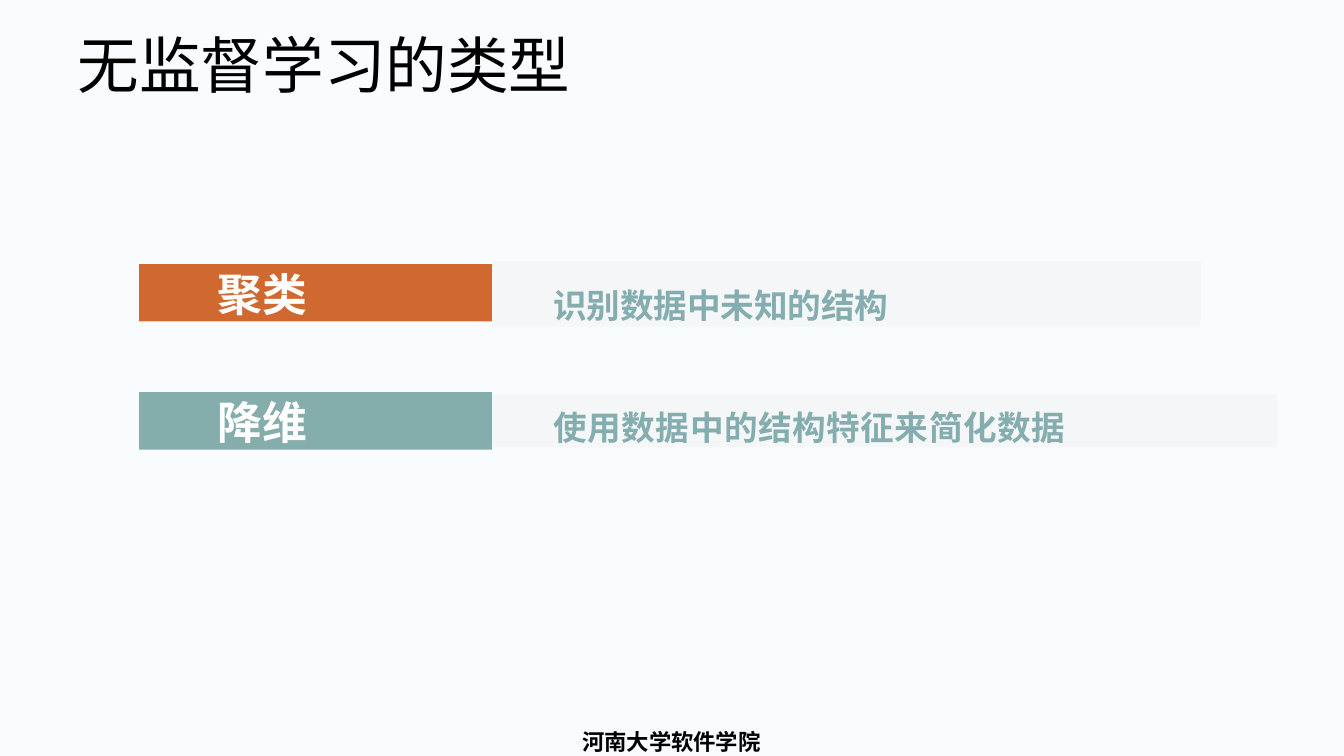
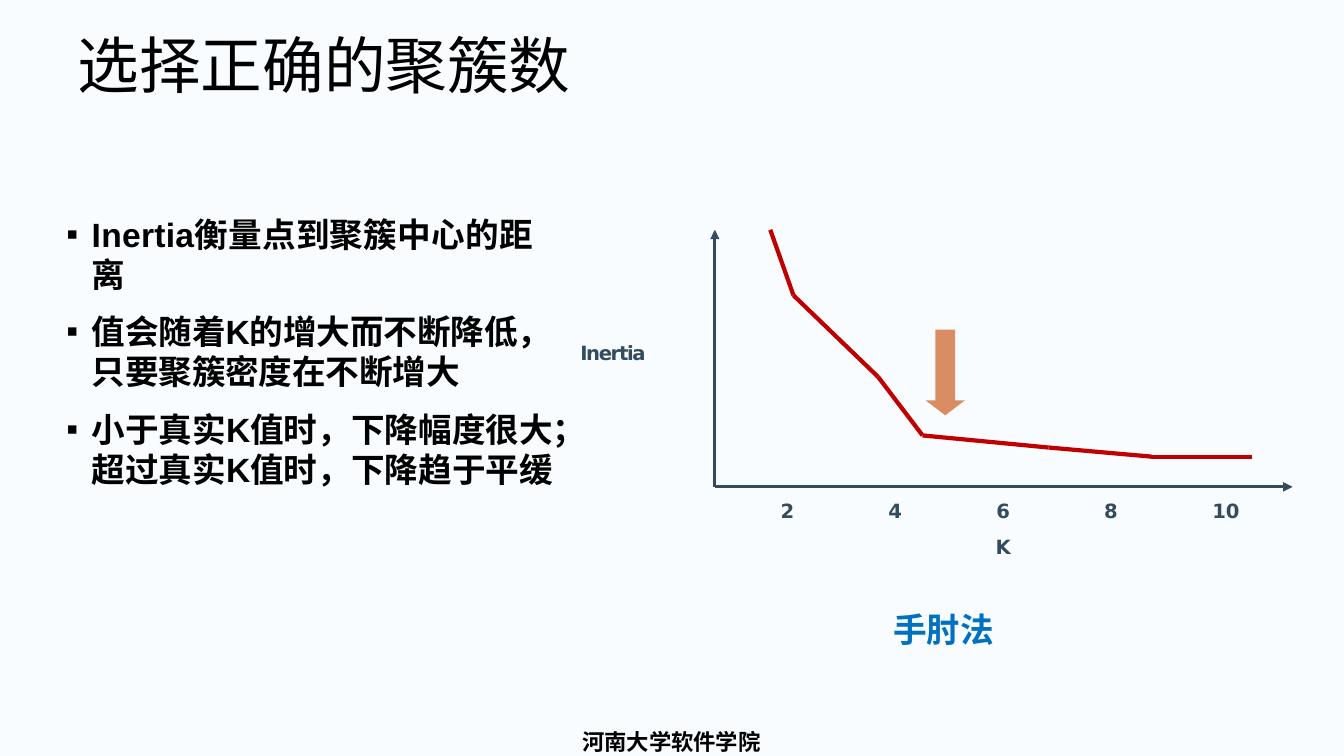
from itertools import pairwise

from lxml.etree import SubElement
from pptx import Presentation
from pptx.dml.color import RGBColor
from pptx.enum.shapes import MSO_CONNECTOR, MSO_SHAPE
from pptx.enum.text import MSO_ANCHOR, MSO_AUTO_SIZE, PP_ALIGN
from pptx.oxml.ns import qn
from pptx.util import Inches, Pt

COLORS = {
    "background": "F8FCFE", "black": "000000", "white": "FFFFFF",
    "orange": "D0692F", "teal": "84ADAC", "teal_text": "84ADAF",
    "band": "F1F1F1", "slate": "344B5E", "red": "C00000", "blue": "0070C0",
}
FOOTER = "河南大学软件学院"
TYPES_TITLE = "无监督学习的类型"
TYPES = [
    {"label": "聚类", "color": "orange", "top": 2.62, "text": "识别数据中未知的结构",
     "band": (4.88, 2.59, 7.03, 0.65), "inset": 0.22, "spacing": -0.1},
    {"label": "降维", "color": "teal", "top": 3.89, "text": "使用数据中的结构特征来简化数据",
     "band": (4.88, 3.91, 7.79, 0.53), "inset": 0.12, "spacing": 0.4},
]
ELBOW_TITLE = "选择正确的聚簇数"
POINTS = [
    ("Inertia衡量点到聚簇中心的距离", 0.2),
    ("值会随着K的增大而不断降低，只要聚簇密度在不断增大", -0.1),
    ("小于真实K值时，下降幅度很大；超过真实K值时，下降趋于平缓", 0),
]
CURVE = [(7.64, 2.28), (7.87, 2.93), (8.71, 3.74), (9.15, 4.32),
         (10.4, 4.44), (11.42, 4.53), (12.42, 4.53)]
ORIGIN = (7.09, 4.83)
AXIS_ENDS = [(7.09, 2.28), (12.82, 4.83)]
CHART_LABELS = [("2", 7.81, 5.07), ("4", 8.88, 5.07), ("6", 9.95, 5.07),
                ("8", 11.02, 5.07), ("10", 12.16, 5.07),
                ("K", 9.95, 5.42), ("Inertia", 6.08, 3.5)]
LABEL_SIZE = (1, 0.25)


def rgb(name):
    return RGBColor.from_string(COLORS[name])


def add_span(para, text, size, font, color, bold=True, spacing=0):
    span = para.add_run()
    span.text = text
    span.font.size = Pt(size)
    span.font.name = font
    span.font.bold = bold
    span.font.color.rgb = rgb(color)
    if spacing:
        span.font._element.set("spc", str(round(spacing * 100)))


def set_frame(frame, insets=(0, 0, 0, 0), anchor=MSO_ANCHOR.TOP, wrap=True):
    frame.word_wrap = wrap
    frame.auto_size = MSO_AUTO_SIZE.NONE
    frame.vertical_anchor = anchor
    (frame.margin_left, frame.margin_top,
     frame.margin_right, frame.margin_bottom) = map(Inches, insets)
    return frame


def add_text(page, place, text, size, font, color, align=PP_ALIGN.LEFT,
             spacing=0, **frame_style):
    box = page.shapes.add_textbox(*map(Inches, place))
    para = set_frame(box.text_frame, **frame_style).paragraphs[0]
    para.alignment = align
    add_span(para, text, size, font, color, spacing=spacing)


def add_block(page, kind, place, color, opacity=100):
    block = page.shapes.add_shape(kind, *map(Inches, place))
    block.shadow.inherit = False
    block.line.fill.background()
    block.fill.solid()
    block.fill.fore_color.rgb = rgb(color)
    if opacity < 100:
        tint = block.fill._xPr.find(qn("a:solidFill"))[0]
        SubElement(tint, qn("a:alpha"), val=str(opacity * 1000))
    return block


def add_band(page, place, color, text, size, text_color, insets, opacity=100, spacing=0):
    band = add_block(page, MSO_SHAPE.RECTANGLE, place, color, opacity)
    para = set_frame(band.text_frame, insets, MSO_ANCHOR.MIDDLE).paragraphs[0]
    para.alignment = PP_ALIGN.LEFT
    add_span(para, text, size, "Cabin", text_color, spacing=spacing)


def add_page(deck, heading):
    page = deck.slides.add_slide(deck.slide_layouts[5])
    title = page.shapes.title
    title.left, title.top, title.width, title.height = map(Inches, (0.67, 0.3, 12, 1.25))
    para = set_frame(title.text_frame, (0.1, 0.05, 0.1, 0.05)).paragraphs[0]
    para.alignment = PP_ALIGN.LEFT
    para.line_spacing = 0.9
    add_span(para, heading, 44, "Calibri", "black", bold=False)
    add_text(page, (4.93, 7.17, 3.46, 0.33), FOOTER, 16, "DejaVu Sans", "black",
             PP_ALIGN.CENTER, insets=(0.1, 0.05, 0.1, 0))
    return page


def add_bullets(page):
    box = page.shapes.add_textbox(*map(Inches, (0.65, 2.11, 4.96, 2.77)))
    frame = set_frame(box.text_frame, (0, 0.01, 0, 0))
    for index, (text, spacing) in enumerate(POINTS):
        para = frame.add_paragraph() if index else frame.paragraphs[0]
        properties = para._p.get_or_add_pPr()
        properties.set("marL", str(Inches(0.26)))
        properties.set("indent", str(Inches(-0.25)))
        SubElement(properties, qn("a:buFont"), typeface="Arial")
        SubElement(properties, qn("a:buChar"), char="▪")
        para.space_before = Pt(12 if index else 0)
        add_span(para, text, 24, "Arial", "black", spacing=spacing)


def add_line(page, start, end, color, width, arrow=False):
    line = page.shapes.add_connector(MSO_CONNECTOR.STRAIGHT, *map(Inches, start + end))
    line.line.color.rgb = rgb(color)
    line.line.width = Pt(width)
    if arrow:
        SubElement(line.line._get_or_add_ln(), qn("a:tailEnd"), type="triangle")
    SubElement(line._element.spPr, qn("a:effectLst"))


def add_types_page(deck):
    page = add_page(deck, TYPES_TITLE)
    for kind in TYPES:
        add_band(page, kind["band"], "band", kind["text"], 24, "teal_text",
                 (0.61, kind["inset"], 0, 0), opacity=50, spacing=kind["spacing"])
        add_band(page, (1.38, kind["top"], 3.5, 0.57), kind["color"], kind["label"],
                 32, "white", (0.78, 0.02, 0, 0))


def add_elbow_page(deck):
    page = add_page(deck, ELBOW_TITLE)
    add_bullets(page)
    for end in AXIS_ENDS:
        add_line(page, ORIGIN, end, "slate", 2.25, arrow=True)
    for start, end in pairwise(CURVE):
        add_line(page, start, end, "red", 3)
    width, height = LABEL_SIZE
    for text, center, middle in CHART_LABELS:
        place = (center - width / 2, middle - height / 2, width, height)
        add_text(page, place, text, 14, "DejaVu Sans", "slate", PP_ALIGN.CENTER,
                 spacing=-1 if text == "Inertia" else 0, anchor=MSO_ANCHOR.MIDDLE)
    arrow = add_block(page, MSO_SHAPE.DOWN_ARROW, (9.18, 3.27, 0.39, 0.85), "orange", 75)
    arrow.adjustments[0] = 0.5
    arrow.adjustments[1] = 0.38
    add_text(page, (8.76, 5.99, 1.21, 0.5), "手肘法", 24, "Calibri", "blue",
             insets=(0.1, 0.05, 0.1, 0.05), wrap=False)


def main():
    """Build the two slides on unsupervised learning."""
    deck = Presentation()
    deck.slide_width, deck.slide_height = Inches(13.33), Inches(7.5)
    backdrop = deck.slide_master.background.fill
    backdrop.solid()
    backdrop.fore_color.rgb = rgb("background")
    add_types_page(deck)
    add_elbow_page(deck)
    deck.save("out.pptx")


if __name__ == "__main__":
    main()
